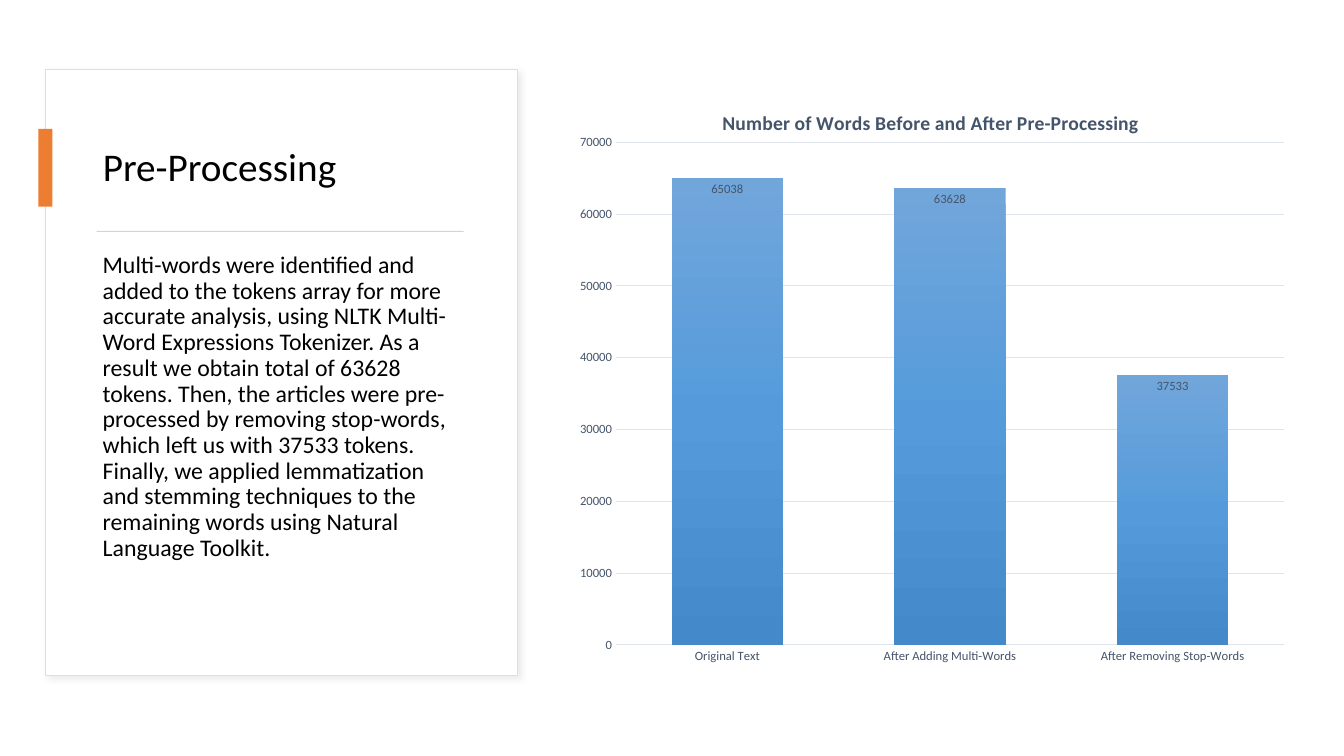
from lxml.etree import SubElement
from pptx import Presentation
from pptx.chart.data import CategoryChartData
from pptx.dml.color import RGBColor
from pptx.enum.chart import XL_CHART_TYPE, XL_LABEL_POSITION, XL_TICK_MARK
from pptx.enum.shapes import MSO_SHAPE
from pptx.enum.text import MSO_ANCHOR, MSO_AUTO_SIZE, PP_ALIGN
from pptx.oxml import parse_xml
from pptx.oxml.ns import nsdecls, qn
from pptx.util import Inches, Pt

# Content
TITLE = "Pre-Processing"
BODY = (
    "Multi-words were identified and added to the tokens array for more accurate "
    "analysis, using NLTK Multi-Word Expressions Tokenizer. As a result we obtain "
    "total of 63628 tokens. Then, the articles were pre-processed by removing "
    "stop-words, which left us with 37533 tokens. Finally, we applied lemmatization "
    "and stemming techniques to the remaining words using Natural Language Toolkit."
)
CHART_TITLE = "Number of Words Before and After Pre-Processing"
WORD_COUNTS = {
    "Original Text": 65038,
    "After Adding Multi-Words": 63628,
    "After Removing Stop-Words": 37533,
}

# Style
FONT = "Calibri"
BLACK, WHITE, SLATE, GRID = "000000", "FFFFFF", "44546A", "E0E5EB"
BAR_GRADIENT = [(0, "71A6DB"), (50, "559BDB"), (100, "448ACA")]

# Places in inches: left, top, width, height
WIDTH, HEIGHT = 13.33, 7.5
TOP, PANEL_HEIGHT = 0.69, 6.01
TEXT_LEFT, TEXT_WIDTH = 0.92, 3.73
CARD = (0.45, TOP, 4.68, PANEL_HEIGHT)
HEADING = (TEXT_LEFT, 1.07, TEXT_WIDTH, 1.21)
ACCENT = (0.38, 1.28, 0.14, 0.77)
RULE = (0.96, 2.29, 3.64, 0.01)
PARAGRAPH = (TEXT_LEFT, 2.46, TEXT_WIDTH, 3.89)
CHART = (5.6, TOP, 7.28, PANEL_HEIGHT)
# Shares of the chart's size
PLOT_SHARE = {"x": 0.07, "y": 0.12, "w": 0.91, "h": 0.83}
TITLE_SHARE = {"x": 0.21, "y": 0.06}


def color(value):
    return RGBColor.from_string(value)


def place(box):
    return [Inches(length) for length in box]


def set_font(font, size, value, bold=False):
    font.name, font.size, font.bold = FONT, Pt(size), bold
    font.color.rgb = color(value)


def set_line(line, value):
    line.color.rgb = color(value)
    line.width = Pt(0.75)


def add_block(page, box, fill, outline=None):
    block = page.shapes.add_shape(MSO_SHAPE.RECTANGLE, *place(box))
    block.shadow.inherit = False
    block.fill.solid()
    block.fill.fore_color.rgb = color(fill)
    if outline:
        set_line(block.line, outline)
    else:
        block.line.fill.background()
    return block


def write(shape, text, size, anchor, before=0):
    frame = shape.text_frame
    frame.word_wrap = True
    frame.auto_size = MSO_AUTO_SIZE.NONE
    frame.vertical_anchor = anchor
    para = frame.paragraphs[0]
    para.text = text
    para.alignment = PP_ALIGN.LEFT
    para.line_spacing = 0.9
    para.space_before = Pt(before)
    set_font(para.font, size, BLACK)


def set_layout(parent, shares, inner=False):
    """Fix a chart part at shares of the chart's size."""
    for old in parent.findall(qn("c:layout")):
        parent.remove(old)
    layout = parse_xml(f"<c:layout {nsdecls('c')}/>")
    manual = SubElement(layout, qn("c:manualLayout"))
    if inner:
        SubElement(manual, qn("c:layoutTarget")).set("val", "inner")
    for side in "xy":
        SubElement(manual, qn(f"c:{side}Mode")).set("val", "edge")
    for side, share in shares.items():
        SubElement(manual, qn(f"c:{side}")).set("val", str(share))
    parent.insert(0 if inner else 1, layout)


def add_word_chart(page):
    data = CategoryChartData()
    data.categories = list(WORD_COUNTS)
    data.add_series("Series 1", list(WORD_COUNTS.values()))
    chart = page.shapes.add_chart(
        XL_CHART_TYPE.COLUMN_CLUSTERED, *place(CHART), data
    ).chart
    set_font(chart.font, 10, BLACK)
    chart.has_legend = False

    # Chart title
    chart.has_title = True
    para = chart.chart_title.text_frame.paragraphs[0]
    para.text = CHART_TITLE
    set_font(para.font, 14, SLATE, bold=True)
    chart.chart_title.include_in_layout = False
    set_layout(chart.chart_title._element, TITLE_SHARE)
    set_layout(chart._chartSpace.chart.plotArea, PLOT_SHARE, inner=True)

    # Axes
    for axis in (chart.category_axis, chart.value_axis):
        axis.major_tick_mark = axis.minor_tick_mark = XL_TICK_MARK.NONE
        set_font(axis.tick_labels.font, 9, SLATE)
    set_line(chart.category_axis.format.line, GRID)
    values = chart.value_axis
    values.format.line.fill.background()
    values.minimum_scale, values.maximum_scale, values.major_unit = 0, 70000, 10000
    set_line(values.major_gridlines.format.line, GRID)

    # Bars and their labels
    plot = chart.plots[0]
    plot.gap_width, plot.overlap, plot.vary_by_categories = 100, -24, False
    stops = "".join(
        f'<a:gs pos="{share * 1000}"><a:srgbClr val="{value}"/></a:gs>'
        for share, value in BAR_GRADIENT
    )
    series = plot.series[0]
    series.format.line.fill.background()
    series._element.get_or_add_spPr().insert(0, parse_xml(
        f"<a:gradFill {nsdecls('a')}><a:gsLst>{stops}</a:gsLst>"
        '<a:lin ang="5400000" scaled="0"/></a:gradFill>'
    ))
    labels = series.data_labels
    labels.show_value = True
    labels.position = XL_LABEL_POSITION.INSIDE_END
    set_font(labels.font, 9, SLATE)


def main():
    deck = Presentation()
    deck.slide_width, deck.slide_height = Inches(WIDTH), Inches(HEIGHT)
    page = deck.slides.add_slide(deck.slide_layouts[5])
    page.background.fill.solid()
    page.background.fill.fore_color.rgb = color(WHITE)

    # Card with a soft shadow, behind the title
    card = add_block(page, CARD, WHITE, "DEDEDE")
    effects = card._element.spPr.find(qn("a:effectLst"))
    effects.append(parse_xml(
        f'<a:outerShdw {nsdecls("a")} blurRad="{Pt(4)}" dist="{Pt(3)}" dir="2700000">'
        '<a:srgbClr val="D9D9D9"><a:alpha val="50000"/></a:srgbClr></a:outerShdw>'
    ))
    heading = page.shapes.title
    heading._element.addprevious(card._element)

    # Heading, accents and text
    heading.left, heading.top, heading.width, heading.height = place(HEADING)
    write(heading, TITLE, 28, MSO_ANCHOR.MIDDLE)
    add_block(page, ACCENT, "ED7D31")
    add_block(page, RULE, "D5D5D5")
    body = page.shapes.add_textbox(*place(PARAGRAPH))
    write(body, BODY, 17, MSO_ANCHOR.TOP, before=10)

    add_word_chart(page)
    deck.save("out.pptx")


if __name__ == "__main__":
    main()
